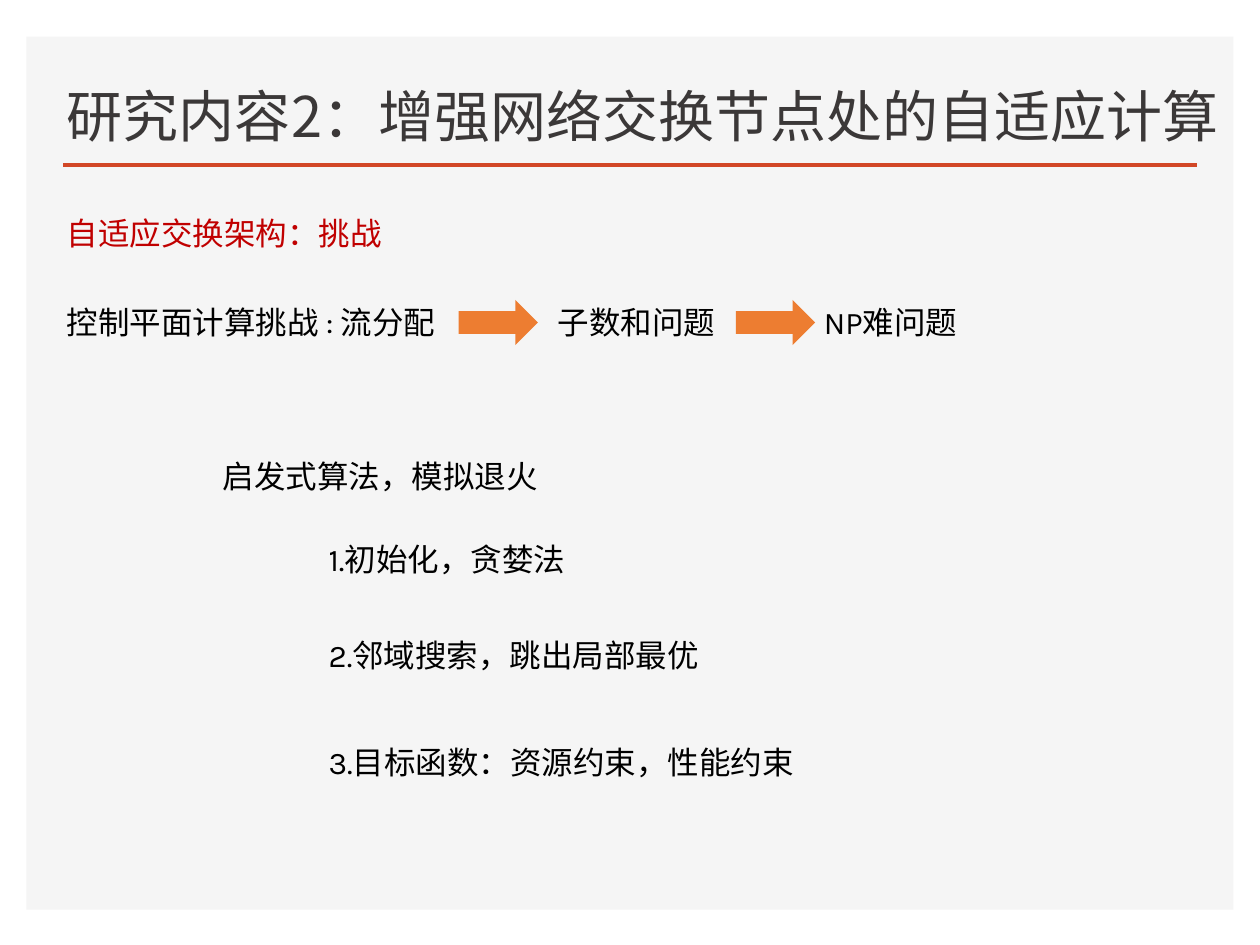
from dataclasses import dataclass

from lxml.etree import SubElement
from pptx import Presentation
from pptx.dml.color import RGBColor
from pptx.enum.shapes import MSO_CONNECTOR, MSO_SHAPE
from pptx.enum.text import MSO_ANCHOR, MSO_AUTO_SIZE, PP_ALIGN
from pptx.oxml.ns import qn
from pptx.slide import Slide
from pptx.util import Inches, Pt

WHITE = RGBColor(0xFF, 0xFF, 0xFF)
PANEL = RGBColor(0xF5, 0xF5, 0xF5)
RULE = RGBColor(0xD2, 0x47, 0x26)
TITLE = RGBColor(0x3B, 0x38, 0x38)
RED = RGBColor(0xC0, 0x00, 0x00)
BLACK = RGBColor(0x00, 0x00, 0x00)
ORANGE = RGBColor(0xED, 0x7D, 0x31)

TITLE_FONT = "Noto Sans CJK SC"
BODY_FONT = "Karla"

LEFT = 0.43
FLOW_TOP = 2.36
STEP_LEFT = 2.51


@dataclass(frozen=True)
class Label:
    text: str
    left: float
    top: float
    width: float
    color: RGBColor = BLACK


LABELS = [
    Label("自适应交换架构：挑战", LEFT, 1.65, 2.73, RED),
    Label("控制平面计算挑战 : 流分配", LEFT, FLOW_TOP, 3.17),
    Label("子数和问题", 4.33, FLOW_TOP, 1.46),
    Label("NP难问题", 6.44, FLOW_TOP, 1.29),
    Label("启发式算法，模拟退火", 1.67, 3.58, 2.73),
    Label("1.初始化，贪婪法", STEP_LEFT, 4.24, 2.16),
    Label("2.邻域搜索，跳出局部最优", STEP_LEFT, 5, 3.17),
    Label("3.目标函数：资源约束，性能约束", STEP_LEFT, 5.85, 3.93),
]
ARROW_LEFTS = [3.64, 5.84]


def add_run(p, text: str, font: str, size: float, color: RGBColor) -> None:
    """Add a run that uses one typeface for Latin and East Asian text."""
    r = p.add_run()
    r.text = text
    r.font.size = Pt(size)
    r.font.color.rgb = color
    r.font.name = font
    SubElement(r.font._element, qn("a:ea")).set("typeface", font)


def add_solid(s: Slide, kind: MSO_SHAPE, left: float, top: float,
              width: float, height: float, color: RGBColor) -> None:
    sp = s.shapes.add_shape(kind, Inches(left), Inches(top),
                            Inches(width), Inches(height))
    sp.shadow.inherit = False
    sp.fill.solid()
    sp.fill.fore_color.rgb = color
    sp.line.fill.background()


def add_rule(s: Slide) -> None:
    line = s.shapes.add_connector(MSO_CONNECTOR.STRAIGHT, Inches(0.5), Inches(1.31),
                                  Inches(9.5), Inches(1.31))
    line.line.color.rgb = RULE
    line.line.width = Pt(2)
    SubElement(line._element.spPr, qn("a:effectLst"))


def add_title(s: Slide, text: str) -> None:
    sp = s.shapes.title
    sp.left, sp.top = Inches(LEFT), Inches(0.49)
    sp.width, sp.height = Inches(9.45), Inches(0.7)
    # The placeholder comes first in the tree; bring it in front of the panel.
    sp._element.getparent().append(sp._element)
    tf = sp.text_frame
    tf.word_wrap = True
    tf.auto_size = MSO_AUTO_SIZE.NONE
    tf.vertical_anchor = MSO_ANCHOR.BOTTOM
    tf.margin_bottom = Inches(0.01)
    p = tf.paragraphs[0]
    p.alignment = PP_ALIGN.LEFT
    p.line_spacing = Pt(38.4)
    add_run(p, text, TITLE_FONT, 32, TITLE)


def add_label(s: Slide, label: Label) -> None:
    sp = s.shapes.add_textbox(Inches(label.left), Inches(label.top),
                              Inches(label.width), Inches(0.4))
    tf = sp.text_frame
    tf.word_wrap = True
    tf.auto_size = MSO_AUTO_SIZE.SHAPE_TO_FIT_TEXT
    add_run(tf.paragraphs[0], label.text, BODY_FONT, 18, label.color)


def main() -> None:
    prs = Presentation()
    prs.slide_width, prs.slide_height = Inches(10), Inches(7.5)
    s = prs.slides.add_slide(prs.slide_layouts[5])
    s.background.fill.solid()
    s.background.fill.fore_color.rgb = WHITE

    add_solid(s, MSO_SHAPE.RECTANGLE, 0.21, 0.29, 9.58, 6.93, PANEL)
    add_rule(s)
    add_title(s, "研究内容2：增强网络交换节点处的自适应计算")
    for left in ARROW_LEFTS:
        add_solid(s, MSO_SHAPE.RIGHT_ARROW, left, 2.38, 0.63, 0.36, ORANGE)
    for label in LABELS:
        add_label(s, label)

    prs.save("out.pptx")


if __name__ == "__main__":
    main()
